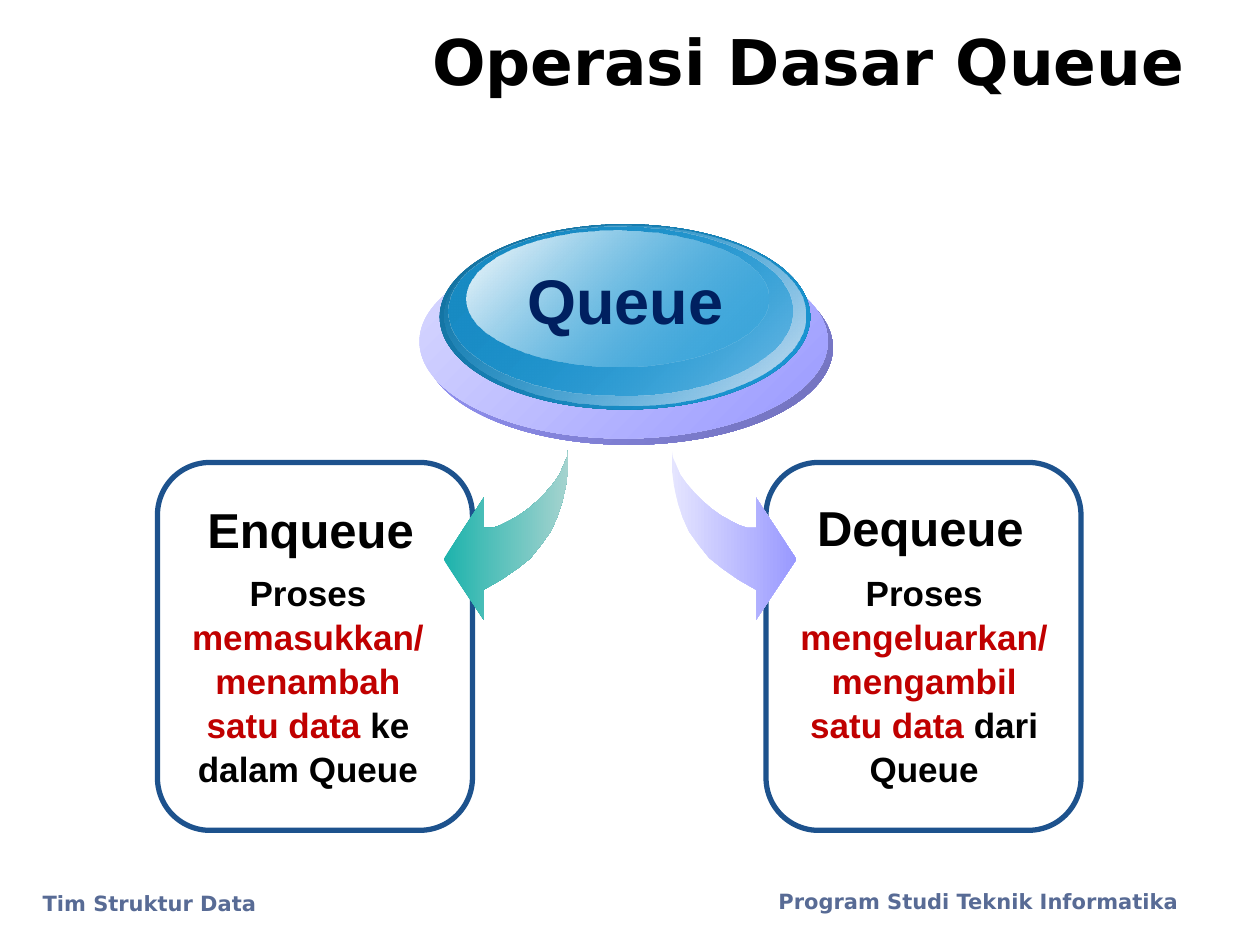
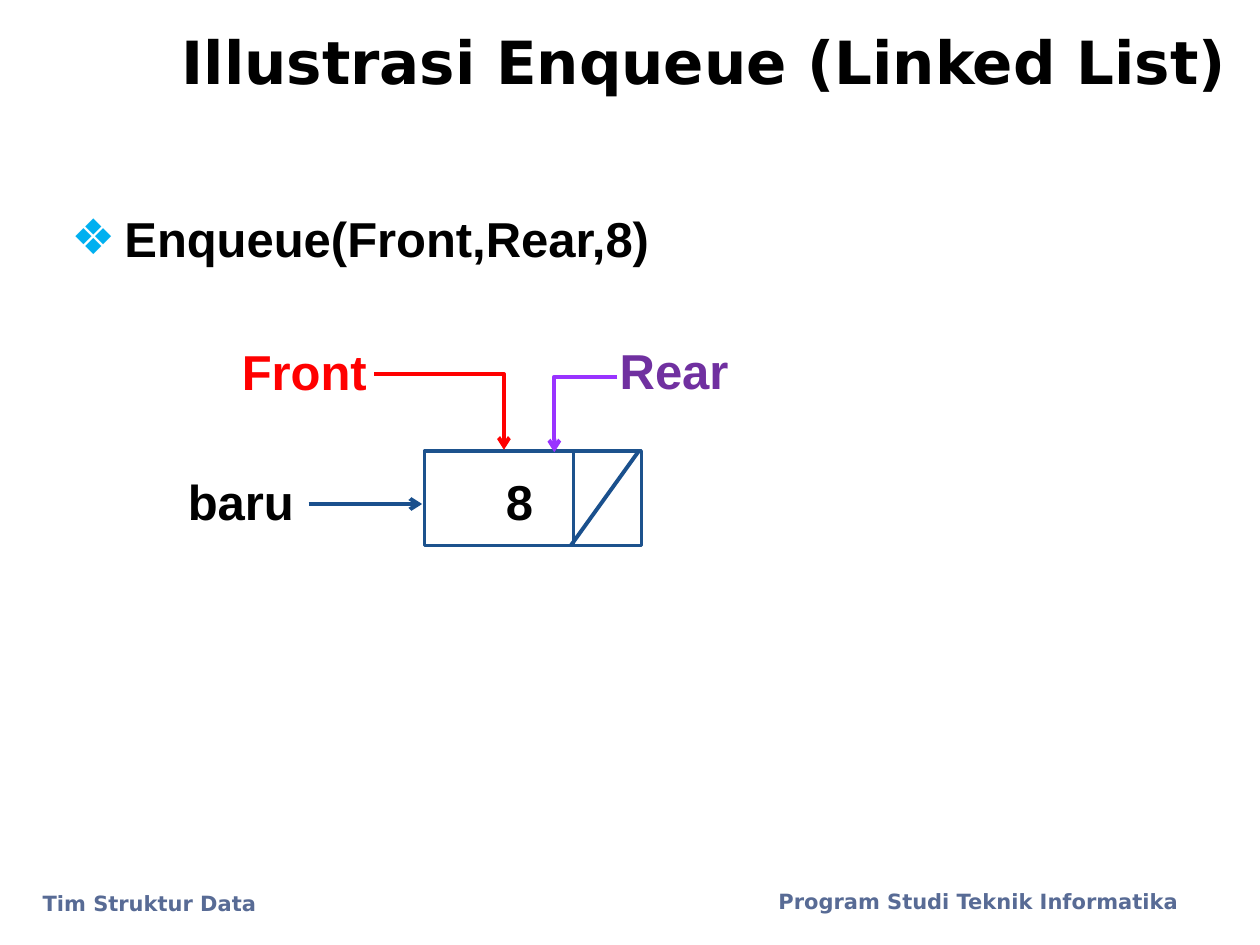
from pptx import Presentation
from pptx.util import Inches, Pt
from pptx.dml.color import RGBColor
from pptx.enum.shapes import MSO_SHAPE as Shape, MSO_CONNECTOR as Conn
from pptx.enum.text import PP_ALIGN as Align, MSO_ANCHOR as Anchor
from pptx.oxml.ns import qn
from lxml.etree import SubElement as Sub

BLACK = RGBColor(0x00, 0x00, 0x00)
WHITE = RGBColor(0xFF, 0xFF, 0xFF)
NAVY = RGBColor(0x00, 0x20, 0x60)
EDGE = RGBColor(0x1D, 0x52, 0x8D)
ARROW = RGBColor(0x1A, 0x50, 0x8D)
SLATE = RGBColor(0x58, 0x6B, 0x95)
CRIMSON = RGBColor(0xC0, 0x00, 0x00)
RED = RGBColor(0xFF, 0x00, 0x00)
VIOLET = RGBColor(0x99, 0x33, 0xFF)
PURPLE = RGBColor(0x70, 0x30, 0xA0)
CYAN = RGBColor(0x00, 0xB0, 0xF0)
LILAC = RGBColor(0x99, 0x99, 0xFF)
PALE = RGBColor(0xE5, 0xE5, 0xFF)
MIST = RGBColor(0xDA, 0xDA, 0xFF)
DUSK = RGBColor(0x70, 0x70, 0xBA)
TEAL = RGBColor(0x1D, 0xB3, 0xAC)
MINT = RGBColor(0xA5, 0xD3, 0xCF)
BLUE = RGBColor(0x1B, 0x9A, 0xD9)
DEEP = RGBColor(0x13, 0x6E, 0x9B)
MID = RGBColor(0x18, 0x8B, 0xC4)
ICE = RGBColor(0xD4, 0xE2, 0xF3)
HEAD, BODY = "DejaVu Sans", "Arial"


def put(page, text, x, y, w, h, size=28, color=BLACK, font=BODY,
        align=Align.CENTER, anchor=Anchor.TOP, wrap=True, space=1.05):
    """Add a text box; text is a string or a list of (words, colour)."""
    box = page.shapes.add_textbox(Inches(x), Inches(y), Inches(w), Inches(h))
    frame = box.text_frame
    frame.word_wrap, frame.vertical_anchor = wrap, anchor
    para = frame.paragraphs[0]
    para.alignment, para.line_spacing = align, space
    for words, tint in [(text, color)] if isinstance(text, str) else text:
        run = para.add_run()
        run.text = words
        run.font.name, run.font.size, run.font.bold = font, Pt(size), True
        run.font.color.rgb = tint
    return para


def blend(shape, first, last, angle):
    """Fill with a gradient of two (colour, opacity) ends, without a line."""
    shape.shadow.inherit = False
    shape.line.fill.background()
    shape.fill.gradient()
    shape.fill.gradient_angle = angle
    for stop, place, (color, solid) in zip(
            shape.fill.gradient_stops, (0, 1), (first, last)):
        stop.position, stop.color.rgb = place, color
        if solid < 100:
            node = shape._element.spPr.findall(".//" + qn("a:srgbClr"))[place]
            Sub(node, qn("a:alpha"), val=str(solid * 1000))


deck = Presentation()
deck.slide_width, deck.slide_height = Inches(10), Inches(7.5)

# Titles and footers of both slides
pages = []
for title, left, size in (("Operasi Dasar Queue", 0.5, 36),
                          ("Illustrasi Enqueue (Linked List)", 0.83, 34)):
    page = deck.slides.add_slide(deck.slide_layouts[6])
    put(page, title, left, 0.17, 9, 0.62, size=size, font=HEAD,
        align=Align.RIGHT, anchor=Anchor.MIDDLE, space=1)
    for note, x, y, w, h in (
            ("Tim Struktur Data", 0.24, 7.02, 3.01, 0.35),
            ("Program Studi Teknik Informatika", 6.08, 7, 3.67, 0.5)):
        put(page, note, x, y, w, h, size=12, color=SLATE, font=HEAD,
            align=Align.LEFT, space=1)
    pages.append(page)
main, demo = pages

# Slide 1: cards
for x in (6.08, 1.25):
    card = main.shapes.add_shape(Shape.ROUNDED_RECTANGLE, Inches(x),
                                 Inches(3.67), Inches(2.5), Inches(2.92))
    card.shadow.inherit = False
    card.fill.background()
    card.line.color.rgb, card.line.width = EDGE, Pt(3)

# Curved arrows: the right one mirrors the left one
curve = [(4.51, 3.56), (4.51, 3.71), (4.49, 3.86), (4.46, 3.99), (4.42, 4.11),
         (4.37, 4.22), (4.29, 4.33), (4.21, 4.43), (4.11, 4.51), (3.98, 4.6),
         (3.84, 4.68), (3.84, 4.92), (3.52, 4.44), (3.84, 3.95), (3.84, 4.19),
         (3.91, 4.19), (3.97, 4.17), (4.05, 4.13), (4.12, 4.09), (4.19, 4.04),
         (4.26, 3.98), (4.33, 3.91), (4.39, 3.84), (4.44, 3.77), (4.47, 3.7),
         (4.5, 3.63)]
for flip, first, last in ((False, TEAL, MINT), (True, PALE, LILAC)):
    spots = [(Inches(9.84 - x if flip else x), Inches(y)) for x, y in curve]
    pen = main.shapes.build_freeform(*spots[0])
    pen.add_line_segments(spots[1:], close=True)
    blend(pen.convert_to_shape(), (first, 100), (last, 100), 0)

# Layered disc
for x, y, w, h, first, last in (
        (3.37, 1.99, 3.24, 1.54, (LILAC, 100), (DUSK, 100)),
        (3.33, 1.94, 3.24, 1.54, (MIST, 100), (LILAC, 100)),
        (3.49, 1.78, 2.94, 1.47, (DEEP, 100), (BLUE, 100)),
        (3.53, 1.79, 2.86, 1.43, (BLUE, 0), (ICE, 100)),
        (3.56, 1.8, 2.73, 1.34, (MID, 100), (BLUE, 48)),
        (3.7, 1.83, 2.4, 1.08, (WHITE, 100), (BLUE, 38))):
    disc = main.shapes.add_shape(Shape.OVAL, Inches(x), Inches(y),
                                 Inches(w), Inches(h))
    blend(disc, first, last, 315)
put(main, "Queue", 4.08, 2, 1.77, 0.71, size=36, color=NAVY, wrap=False)

# Card texts
for name, x, y, left, act, end in (
        ("Enqueue", 1.35, 3.89, 1.33, "memasukkan/menambah", "ke dalam Queue"),
        ("Dequeue", 6.19, 3.88, 6.22, "mengeluarkan/mengambil", "dari Queue")):
    put(main, name, x, y, 2.23, 0.57)
    put(main, [("Proses ", BLACK), (act + " satu data ", CRIMSON),
               (end, BLACK)], left, 4.47, 2.23, 1.78, size=20)

# Slide 2: call with a bullet
call = put(demo, "Enqueue(Front,Rear,8)", -0.08, 1.58, 5.33, 0.57,
           align=Align.RIGHT)
prop = call._p.get_or_add_pPr()
prop.set("marL", str(Inches(0.42)))
prop.set("indent", str(Inches(-0.42)))
Sub(Sub(prop, qn("a:buClr")), qn("a:srgbClr"), val=str(CYAN))
Sub(prop, qn("a:buFont"), typeface=BODY)
Sub(prop, qn("a:buChar"), char="❖")

# Node
node = demo.shapes.add_shape(Shape.RECTANGLE, Inches(3.37), Inches(3.58),
                             Inches(1.72), Inches(0.75))
node.shadow.inherit = False
node.fill.solid()
node.fill.fore_color.rgb = WHITE
node.line.color.rgb, node.line.width = EDGE, Pt(2)

# Labels
for word, x, y, w, color, align in (
        ("baru", 1.17, 3.67, 1.26, BLACK, Align.RIGHT),
        ("8", 3.7, 3.67, 0.63, BLACK, Align.RIGHT),
        ("Front", 1.75, 2.64, 1.26, RED, Align.RIGHT),
        ("Rear", 4.82, 2.63, 1.26, PURPLE, Align.LEFT)):
    put(demo, word, x, y, w, 0.57, color=color, align=align)

# Node divider, null slash and pointers
for kind, x1, y1, x2, y2, color, width, tip in (
        (Conn.STRAIGHT, 4.55, 3.58, 4.55, 4.33, EDGE, 2, False),
        (Conn.STRAIGHT, 5.07, 3.58, 4.53, 4.33, ARROW, 2.25, False),
        (Conn.STRAIGHT, 2.45, 4, 3.35, 4, ARROW, 2.25, True),
        (Conn.ELBOW, 2.97, 2.97, 4, 3.57, RED, 2.25, True),
        (Conn.ELBOW, 4.9, 2.99, 4.4, 3.59, VIOLET, 2.25, True)):
    link = demo.shapes.add_connector(kind, Inches(x1), Inches(y1),
                                     Inches(x2), Inches(y2))
    link.line.color.rgb, link.line.width = color, Pt(width)
    prop = link._element.spPr
    Sub(prop, qn("a:effectLst"))
    if kind == Conn.ELBOW:
        prop.find(qn("a:prstGeom")).set("prst", "bentConnector2")
    if tip:
        Sub(prop.find(qn("a:ln")), qn("a:tailEnd"), type="arrow")

deck.save("out.pptx")
